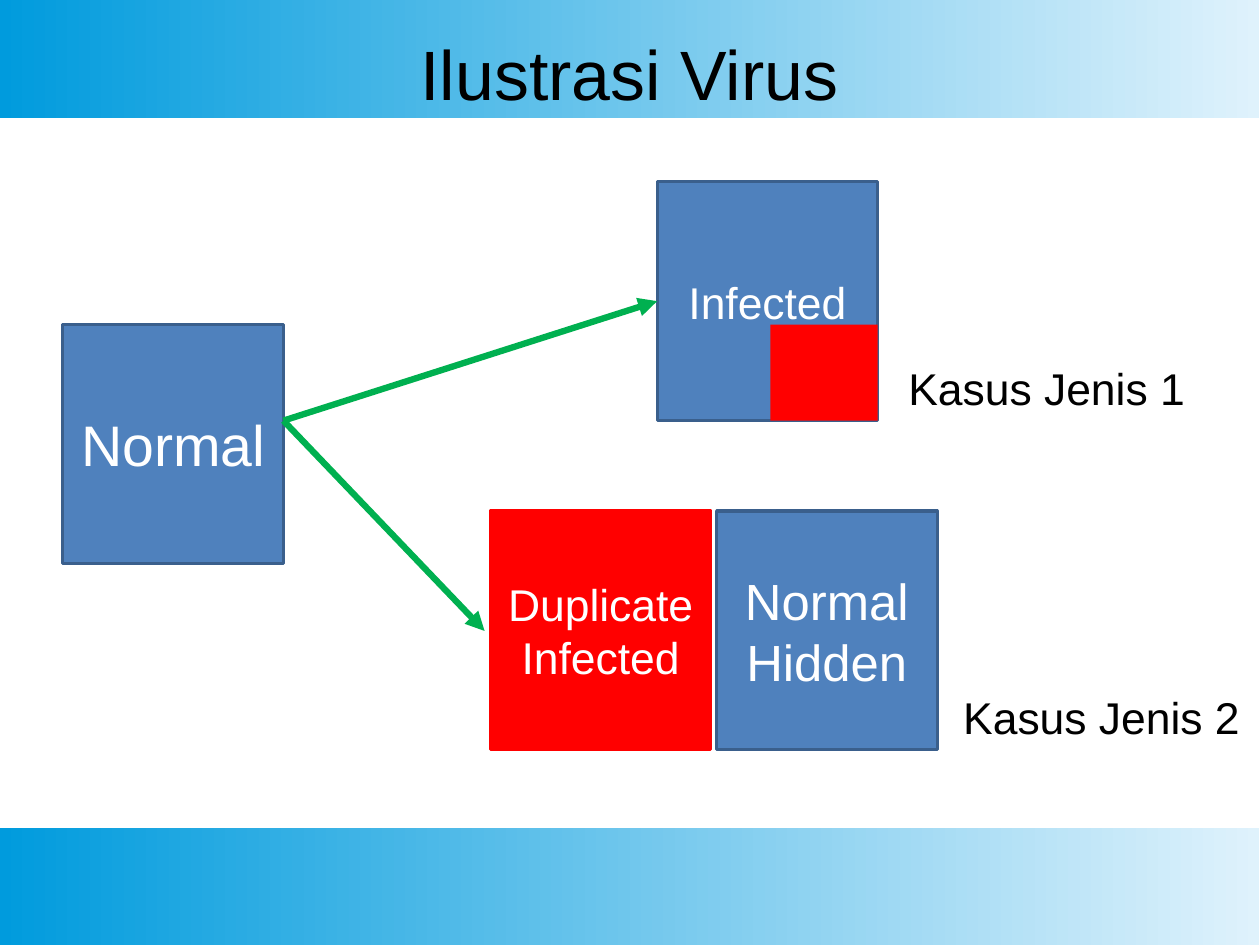
from dataclasses import dataclass

from lxml import etree
from pptx import Presentation
from pptx.dml.color import RGBColor
from pptx.enum.shapes import MSO_CONNECTOR, MSO_SHAPE
from pptx.enum.text import MSO_ANCHOR, PP_ALIGN
from pptx.oxml.ns import qn
from pptx.util import Emu, Inches, Pt

RECTANGLE = MSO_SHAPE.RECTANGLE
STRAIGHT = MSO_CONNECTOR.STRAIGHT
MIDDLE = MSO_ANCHOR.MIDDLE
CENTER = PP_ALIGN.CENTER
LEFT = PP_ALIGN.LEFT
LEFT_SIDE = 1

SLIDE_SIZE = {"slide_width": Emu(10080625), "slide_height": Emu(7559675)}
BAND_WIDTH, BAND_HEIGHT = 11.02, 1.03
BAND_TOPS = (0, 7.24)
FILE_WIDTH, FILE_HEIGHT = 1.93, 2.09
BLUE, DARK_BLUE, RED, GREEN = "4F81BD", "3A5F8C", "FF0000", "00B050"
WHITE, BLACK = "FFFFFF", "000000"
BAND_COLORS = ("DFF2FC", "009BDD")


@dataclass
class Box:
    left: float
    top: float
    lines: tuple[str, ...] = ()
    size: int = 28
    fill: str = BLUE
    outline: str | None = DARK_BLUE
    width: float = FILE_WIDTH
    height: float = FILE_HEIGHT


@dataclass
class Label:
    left: float
    top: float
    text: str


NORMAL = Box(0.55, 2.84, ("Normal",), 36)
HIDDEN = Box(6.27, 4.47, ("Normal", "Hidden"), 32)
DUPLICATE = Box(4.29, 4.47, ("Duplicate", "Infected"), fill=RED, outline=RED)
INFECTED = Box(5.75, 1.59, ("Infected",))
VIRUS = Box(6.74, 2.84, fill=RED, outline=None, width=0.94, height=0.84)
LABELS = (Label(7.85, 3.11, "Kasus Jenis 1"), Label(8.33, 5.99, "Kasus Jenis 2"))
ARROW_START = (NORMAL.left + NORMAL.width, 3.68)
ARROW_ENDS = ((INFECTED.left, INFECTED.top + INFECTED.height / 2), (4.24, 5.52))


def rgb(color: str) -> RGBColor:
    """Turn a hex string into a colour."""
    return RGBColor.from_string(color)


def inches(*lengths: float) -> list[Inches]:
    """Turn numbers into lengths."""
    return [Inches(length) for length in lengths]


def set_values(target, values: dict) -> None:
    """Set every attribute named in the dict."""
    for name, value in values.items():
        setattr(target, name, value)


def write_lines(frame, lines: tuple[str, ...], size: int, color: str, alignment) -> None:
    """Write one paragraph for each line."""
    frame.text = "\n".join(lines)
    for paragraph in frame.paragraphs:
        paragraph.alignment = alignment
        set_values(paragraph.font, {"name": "Arial", "size": Pt(size)})
        paragraph.font.color.rgb = rgb(color)


def draw_band(slide, top: float) -> None:
    """Draw a gradient band across the slide."""
    band = slide.shapes.add_shape(RECTANGLE, *inches(0, top, BAND_WIDTH, BAND_HEIGHT))
    band.shadow.inherit = False
    band.line.fill.background()
    band.fill.gradient()
    band.fill.gradient_angle = 180
    for stop, color in zip(band.fill.gradient_stops, BAND_COLORS):
        stop.color.rgb = rgb(color)


def draw_title(slide, text: str) -> None:
    """Place and format the title above the top band."""
    title = slide.shapes.title
    slide.shapes._spTree.append(title._element)
    left, top, width, height = inches(0.55, 0.33, 9.92, 0.7)
    set_values(title, {"left": left, "top": top, "width": width, "height": height})
    frame = title.text_frame
    set_values(frame, {"margin_left": 0, "margin_top": 0, "margin_right": 0,
                       "margin_bottom": 0, "vertical_anchor": MIDDLE})
    write_lines(frame, (text,), 44, BLACK, CENTER)
    frame.paragraphs[0].line_spacing = 0.9


def draw_box(slide, box: Box):
    """Draw a file box and return its shape."""
    shape = slide.shapes.add_shape(RECTANGLE, *inches(box.left, box.top, box.width, box.height))
    shape.shadow.inherit = False
    shape.fill.solid()
    shape.fill.fore_color.rgb = rgb(box.fill)
    if box.outline:
        shape.line.color.rgb = rgb(box.outline)
        shape.line.width = Pt(2)
    else:
        shape.line.fill.background()
    if box.lines:
        shape.text_frame.vertical_anchor = MIDDLE
        write_lines(shape.text_frame, box.lines, box.size, WHITE, CENTER)
    return shape


def draw_arrow(slide, end: tuple[float, float]):
    """Draw a green arrow from the normal file and return it."""
    arrow = slide.shapes.add_connector(STRAIGHT, *inches(*ARROW_START, *end))
    arrow.line.color.rgb = rgb(GREEN)
    arrow.line.width = Pt(4)
    etree.SubElement(arrow.line._get_or_add_ln(), qn("a:tailEnd"), type="triangle")
    etree.SubElement(arrow._element.spPr, qn("a:effectLst"))
    return arrow


def draw_label(slide, label: Label) -> None:
    """Write the name of a case."""
    box = slide.shapes.add_textbox(*inches(label.left, label.top, 2.7, 0.57))
    box.text_frame.word_wrap = True
    write_lines(box.text_frame, (label.text,), 28, BLACK, LEFT)


def main() -> None:
    """Build and save the slide."""
    presentation = Presentation()
    set_values(presentation, SLIDE_SIZE)
    slide = presentation.slides.add_slide(presentation.slide_layouts.get_by_name("Title Only"))
    for top in BAND_TOPS:
        draw_band(slide, top)
    draw_title(slide, "Ilustrasi Virus")
    for box in (NORMAL, HIDDEN, DUPLICATE):
        draw_box(slide, box)
    infected = draw_box(slide, INFECTED)
    draw_box(slide, VIRUS)
    to_infected, _ = [draw_arrow(slide, end) for end in ARROW_ENDS]
    to_infected.end_connect(infected, LEFT_SIDE)
    for label in LABELS:
        draw_label(slide, label)
    presentation.save("out.pptx")


if __name__ == "__main__":
    main()
